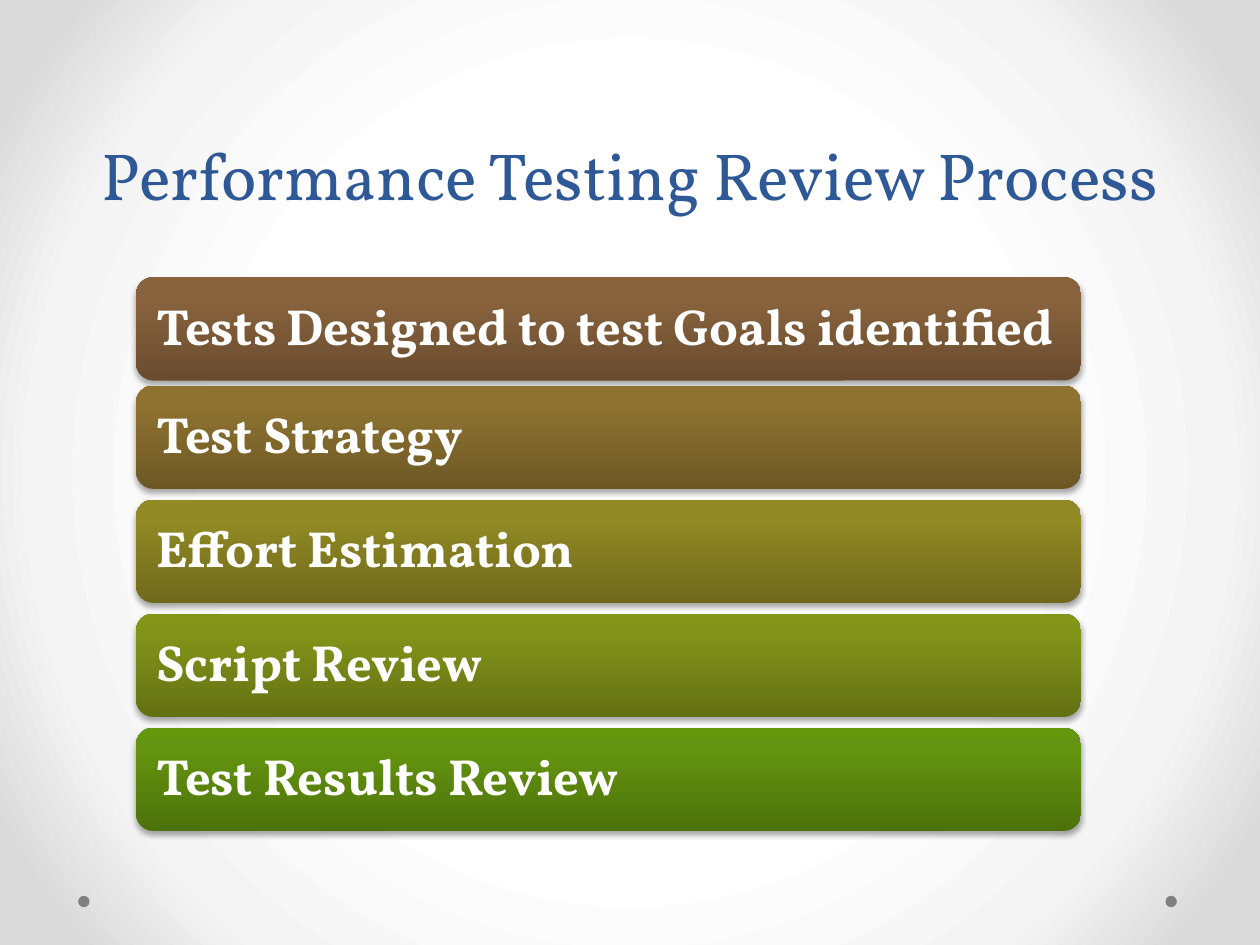
from pptx import Presentation
from pptx.dml.color import RGBColor
from pptx.enum.shapes import MSO_SHAPE
from pptx.enum.text import MSO_ANCHOR, MSO_AUTO_SIZE, PP_ALIGN
from pptx.oxml import parse_xml
from pptx.oxml.ns import nsdecls
from pptx.util import Inches, Pt

# Content: bar text, then gradient colours from bottom to top
TITLE = "Performance Testing Review Process"
STEPS = [
    ("Tests Designed to test Goals identified", ("694C2F", "89633D", "8B633C")),
    ("Test Strategy", ("6D5825", "8D7230", "8F742E")),
    ("Effort Estimation", ("6F691C", "908924", "938B22")),
    ("Script Review", ("637113", "819319", "839617")),
    ("Test Results Review", ("4D720B", "64940F", "65970C")),
]

THEME = {
    "font": "Vollkorn",
    "title": RGBColor.from_string("2F5897"),
    "text": RGBColor.from_string("FFFFFF"),
    "dot": RGBColor.from_string("808080"),
    "background": ("FFFFFF", "F4F4F4", "DADADA"),
    "title_size": Pt(38),
    "step_size": Pt(29),
}

# Layout in inches
BAR_LEFT, BAR_WIDTH, BAR_HEIGHT = 1.08, 7.5, 0.82
FIRST_TOP, SECOND_TOP, PITCH = 2.2, 3.06, 0.905
DOT_LEFTS, DOT_TOP, DOT_SIZE = (0.62, 9.25), 7.11, 0.09

LINEAR_UP = '<a:lin ang="16200000" scaled="0"/>'
RADIAL = ('<a:path path="circle">'
          '<a:fillToRect l="50000" t="50000" r="50000" b="50000"/></a:path>')


def gradient_xml(positions, colors, direction):
    stops = "".join(
        f'<a:gs pos="{pos * 1000}"><a:srgbClr val="{color}"/></a:gs>'
        for pos, color in zip(positions, colors))
    return (f'<a:gradFill {nsdecls("a")} rotWithShape="1">'
            f'<a:gsLst>{stops}</a:gsLst>{direction}</a:gradFill>')


def style_font(p, size, color, bold=False):
    p.font.name = THEME["font"]
    p.font.size = size
    p.font.bold = bold
    p.font.color.rgb = color


def add_shape(s, kind, left, top, width, height):
    sp = s.shapes.add_shape(kind, Inches(left), Inches(top),
                            Inches(width), Inches(height))
    sp.line.fill.background()
    sp.shadow.inherit = False
    return sp


def add_bar(s, text, colors, top):
    sp = add_shape(s, MSO_SHAPE.ROUNDED_RECTANGLE,
                   BAR_LEFT, top, BAR_WIDTH, BAR_HEIGHT)
    props = sp._element.spPr
    props.insert(2, parse_xml(gradient_xml((0, 80, 100), colors, LINEAR_UP)))
    props[-1].append(parse_xml(
        f'<a:outerShdw {nsdecls("a")} blurRad="{Pt(3.1)}" dist="{Pt(1.8)}" '
        'dir="5400000" rotWithShape="0"><a:srgbClr val="000000">'
        '<a:alpha val="35000"/></a:srgbClr></a:outerShdw>'))

    tf = sp.text_frame
    tf.word_wrap = True
    tf.vertical_anchor = MSO_ANCHOR.MIDDLE
    tf.margin_left = tf.margin_right = Inches(0.12)
    tf.margin_top = tf.margin_bottom = Inches(0.12)
    p = tf.paragraphs[0]
    p.text = text
    p.alignment = PP_ALIGN.LEFT
    p.line_spacing = 0.9
    style_font(p, THEME["step_size"], THEME["text"], bold=True)


def main():
    prs = Presentation()
    prs.slide_width, prs.slide_height = Inches(10), Inches(7.5)
    s = prs.slides.add_slide(prs.slide_layouts[5])

    # Background
    fill = gradient_xml((50, 76, 92), THEME["background"], RADIAL)
    s._element.cSld.insert(0, parse_xml(
        f'<p:bg {nsdecls("p", "a")}><p:bgPr>{fill}<a:effectLst/></p:bgPr></p:bg>'))

    # Corner dots
    for left in DOT_LEFTS:
        dot = add_shape(s, MSO_SHAPE.OVAL, left, DOT_TOP, DOT_SIZE, DOT_SIZE)
        dot.fill.solid()
        dot.fill.fore_color.rgb = THEME["dot"]

    # Title
    title = s.shapes.title
    title.left, title.top = Inches(0.5), Inches(0)
    title.width, title.height = Inches(9), Inches(1.75)
    tf = title.text_frame
    tf.word_wrap = True
    tf.auto_size = MSO_AUTO_SIZE.NONE
    tf.vertical_anchor = MSO_ANCHOR.BOTTOM
    p = tf.paragraphs[0]
    p.text = TITLE
    p.alignment = PP_ALIGN.CENTER
    p.line_spacing = Pt(58)
    style_font(p, THEME["title_size"], THEME["title"])

    # Review steps: the first bar sits slightly closer to the second
    for i, (text, colors) in enumerate(STEPS):
        top = SECOND_TOP + (i - 1) * PITCH if i else FIRST_TOP
        add_bar(s, text, colors, top)

    prs.save("out.pptx")


if __name__ == "__main__":
    main()
